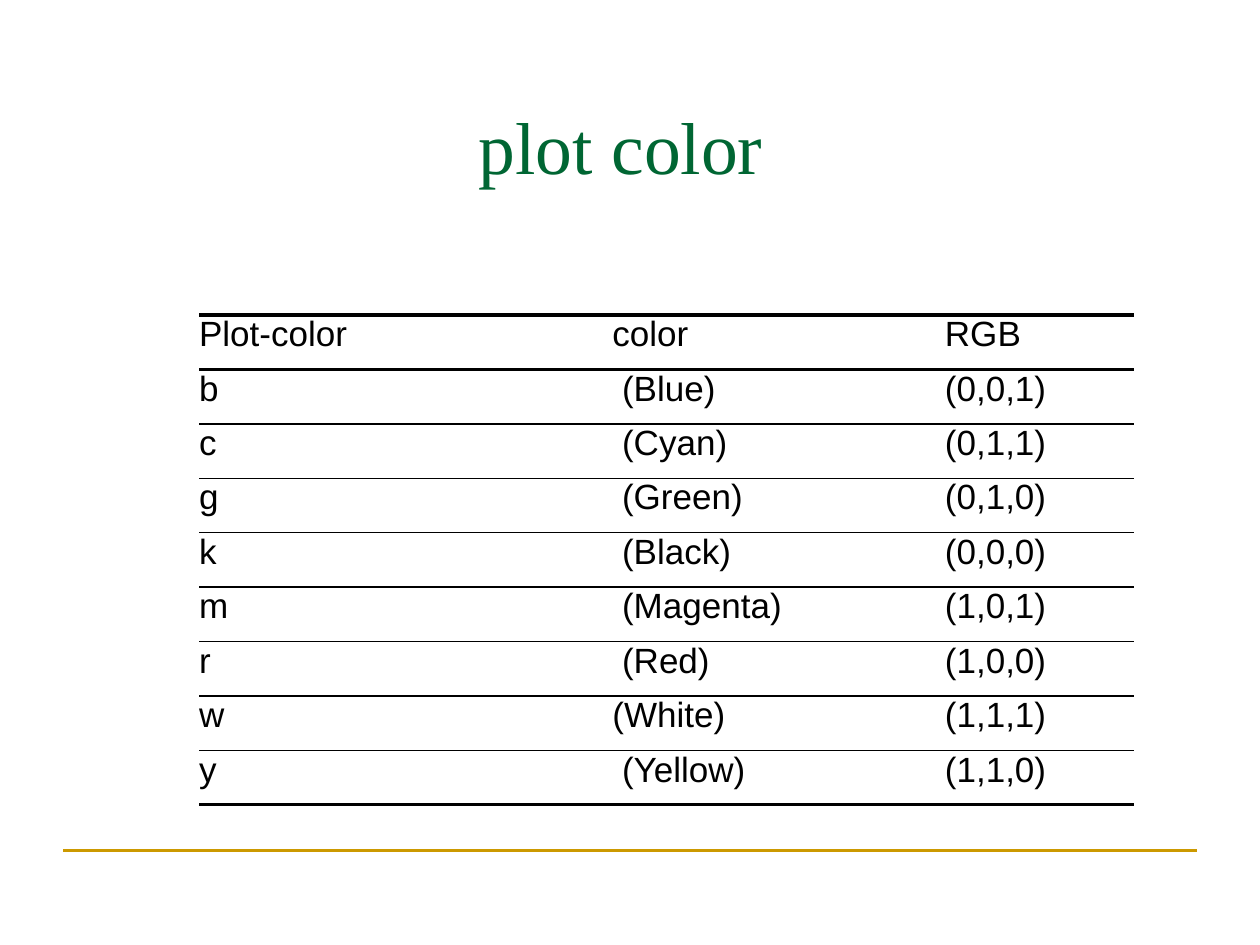
from lxml import etree
from pptx import Presentation
from pptx import util as u
from pptx.dml.color import RGBColor
from pptx.enum import shapes, text
from pptx.oxml import ns

WIDTH, HEIGHT = u.Inches(10), u.Inches(7.5)
MARGIN = 0.05
GREEN = RGBColor(0x00, 0x66, 0x33)
GOLD = RGBColor(0xCC, 0x99, 0x00)
BLACK = RGBColor(0, 0, 0)
COLUMN_WIDTHS = (3.28, 2.64, 1.5)
ROW_HEIGHT = 0.432
THICK, THIN = 2.25, 1
PLOT_COLORS = (
    ("Plot-color", "color", "RGB"),
    ("b", " (Blue)", "(0,0,1)"),
    ("c", " (Cyan)", "(0,1,1)"),
    ("g", " (Green)", "(0,1,0)"),
    ("k", " (Black)", "(0,0,0)"),
    ("m", " (Magenta)", "(1,0,1)"),
    ("r", " (Red)", "(1,0,0)"),
    ("w", "(White)", "(1,1,1)"),
    ("y", " (Yellow)", "(1,1,0)"),
)


def style_text(paragraph, font_name, size, color):
    """Format every run of a paragraph."""
    for run in paragraph.runs:
        run.font.name = font_name
        run.font.size = u.Pt(size)
        run.font.color.rgb = color


def add_title(slide, wording):
    """Add the centred heading, resting on the bottom of its box."""
    title = slide.shapes.add_textbox(
        int(WIDTH * MARGIN), int(HEIGHT * 0.04),
        int(WIDTH * (1 - 2 * MARGIN)), u.Inches(1.25))
    frame = title.text_frame
    frame.word_wrap = True
    frame.vertical_anchor = text.MSO_ANCHOR.BOTTOM
    frame.text = wording
    heading = frame.paragraphs[0]
    heading.alignment = text.PP_ALIGN.CENTER
    style_text(heading, "Times New Roman", 42, GREEN)


def add_footer_rule(slide):
    """Draw the gold rule near the foot of the slide."""
    height = int(HEIGHT * 0.9)
    rule = slide.shapes.add_connector(
        shapes.MSO_CONNECTOR.STRAIGHT,
        int(WIDTH * MARGIN), height, int(WIDTH * (1 - MARGIN)), height)
    rule.line.color.rgb = GOLD
    rule.line.width = u.Pt(1.5)
    etree.SubElement(rule._element.spPr, ns.qn("a:effectLst"))


def set_borders(cell, top, bottom):
    """Rule a cell above and below, with open sides."""
    properties = cell._tc.get_or_add_tcPr()
    edges = (("L", 0), ("R", 0), ("T", top), ("B", bottom))
    for position, (side, points) in enumerate(edges):
        edge = etree.Element(ns.qn(f"a:ln{side}"), w=str(u.Pt(points)))
        if points:
            fill = etree.SubElement(edge, ns.qn("a:solidFill"))
            etree.SubElement(fill, ns.qn("a:srgbClr"), val=str(BLACK))
        else:
            etree.SubElement(edge, ns.qn("a:noFill"))
        properties.insert(position, edge)


def fill_cell(cell, wording, top, bottom):
    """Write one unfilled table cell without insets."""
    cell.margin_left = cell.margin_right = 0
    cell.margin_top = cell.margin_bottom = 0
    cell.text = wording
    style_text(cell.text_frame.paragraphs[0], "Arial", 20, BLACK)
    cell.fill.background()
    set_borders(cell, top, bottom)


def add_color_table(slide):
    """Add the table of plot colours, with heavy rules at header and end."""
    count = len(PLOT_COLORS)
    table = slide.shapes.add_table(
        count, len(COLUMN_WIDTHS), u.Inches(1.58), int(HEIGHT / 3),
        u.Inches(sum(COLUMN_WIDTHS)), u.Inches(ROW_HEIGHT * count)).table
    table.first_row = table.horz_banding = False
    for column, width in zip(table.columns, COLUMN_WIDTHS):
        column.width = u.Inches(width)
    rules = [THICK, THICK] + [THIN] * (count - 2) + [THICK]
    for row, entries in enumerate(PLOT_COLORS):
        table.rows[row].height = u.Inches(ROW_HEIGHT)
        for column, entry in enumerate(entries):
            fill_cell(table.cell(row, column), entry, rules[row], rules[row + 1])


def main():
    """Build and save the plot color slide."""
    deck = Presentation()
    deck.slide_width, deck.slide_height = WIDTH, HEIGHT
    slide = deck.slides.add_slide(deck.slide_layouts[6])
    add_footer_rule(slide)
    add_title(slide, "plot color ")
    add_color_table(slide)
    deck.save("out.pptx")


if __name__ == "__main__":
    main()
